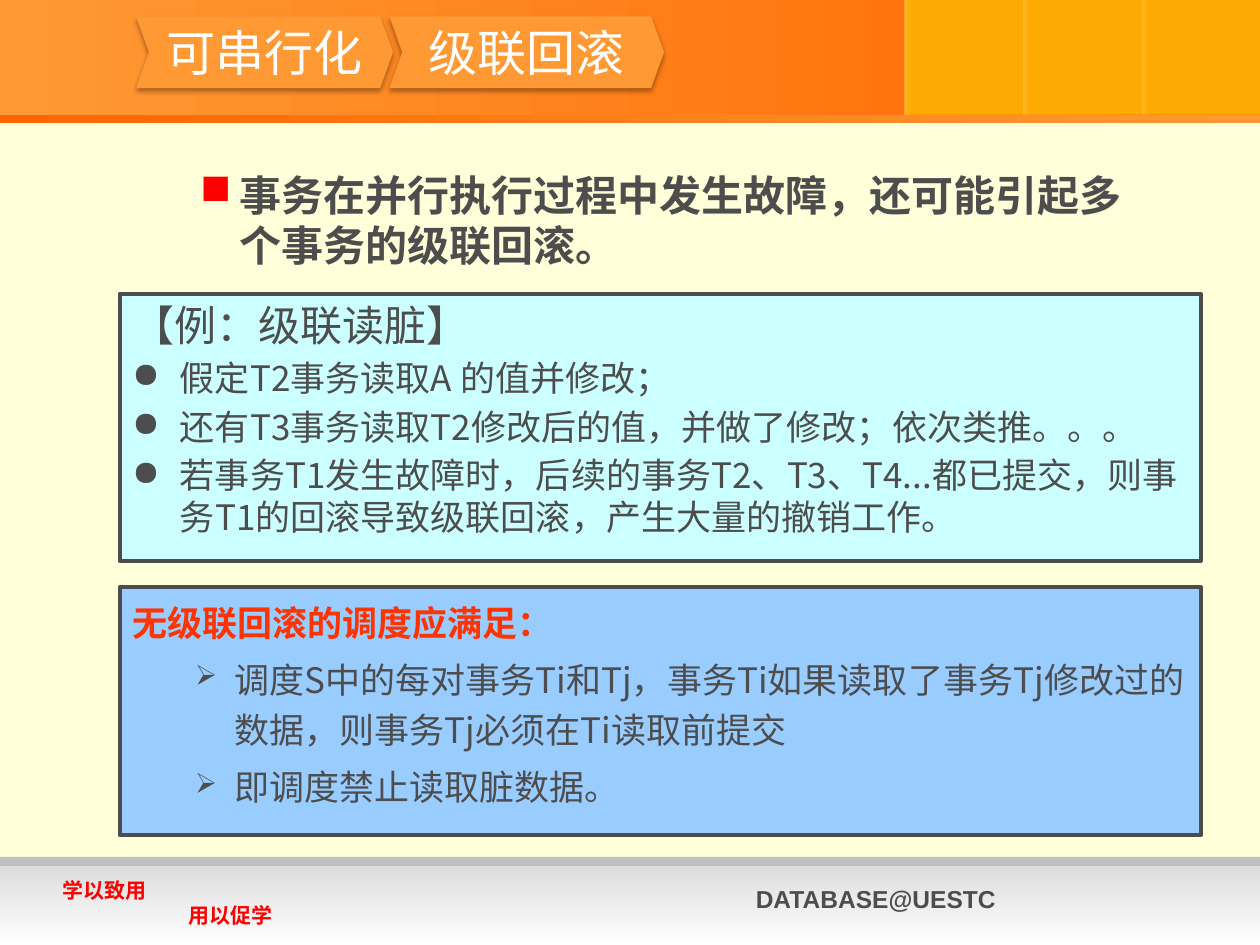
from lxml.etree import SubElement
from pptx import Presentation
from pptx.dml.color import RGBColor
from pptx.enum.shapes import MSO_SHAPE
from pptx.enum.text import MSO_ANCHOR, PP_ALIGN
from pptx.oxml.ns import qn
from pptx.util import Inches, Pt

INK = {
    "cream": "FFFFD9", "amber": "FDAA03", "orange": "FF9933", "deep": "FF6600",
    "grey": "C0C0C0", "mist": "DDDDDD", "white": "FFFFFF", "text": "4D4D4D",
    "red": "FF0000", "warm": "FF3300", "aqua": "CCFFFF", "blue": "99CCFF",
    "black": "000000",
}
SANS, LATIN = "Noto Sans CJK SC", "Arial"
PITCH = 1.19


def tint(name):
    """Return the named colour."""
    return RGBColor.from_string(INK[name])


def node(parent, tag, **attrs):
    """Append a drawing element with the given attributes."""
    return SubElement(parent, qn(tag), {key: str(val) for key, val in attrs.items()})


def block(slide, box, fill, kind=MSO_SHAPE.RECTANGLE):
    """Add a plain filled shape without a line or shadow."""
    shape = slide.shapes.add_shape(kind, *map(Inches, box))
    shape.shadow.inherit = False
    shape.fill.solid()
    shape.fill.fore_color.rgb = tint(fill)
    shape.line.fill.background()
    return shape


def fade(slide, box, ends, angle=0, alphas=()):
    """Add a rectangle with a two-colour gradient."""
    shape = block(slide, box, ends[0])
    shape.fill.gradient()
    shape.fill.gradient_angle = angle
    for stop, name, place in zip(shape.fill.gradient_stops, ends, (0, 1)):
        stop.color.rgb = tint(name)
        stop.position = place
    for clr, alpha in zip(shape.element.spPr.iter(qn("a:srgbClr")), alphas):
        node(clr, "a:alpha", val=alpha * 1000)
    return shape


def bullet(para, sign, ink=None, size=None):
    """Give a paragraph its bullet sign."""
    props = para._p.get_or_add_pPr()
    if ink:
        node(node(props, "a:buClr"), "a:srgbClr", val=INK[ink])
    if size:
        node(props, "a:buSzPct", val=size * 1000)
    node(props, "a:buChar", char=sign)


def write(shape, lines, anchor=MSO_ANCHOR.TOP):
    """Fill a shape with formatted paragraphs."""
    frame = shape.text_frame
    frame.word_wrap = True
    frame.vertical_anchor = anchor
    for pos, (text, look) in enumerate(lines):
        para = frame.paragraphs[0] if pos == 0 else frame.add_paragraph()
        size = look.get("size", 20)
        face = look.get("face", SANS)
        left, hang = look.get("indent", (0, 0))
        props = para._p.get_or_add_pPr()
        props.set("marL", str(Inches(left)))
        props.set("indent", str(Inches(hang)))
        if "sign" in look:
            bullet(para, *look["sign"])
        layout = {
            "alignment": look.get("align", PP_ALIGN.LEFT),
            "line_spacing": Pt(round(size * PITCH * look.get("lead", 1), 1)),
            "space_before": Pt(look.get("gap", 0) if pos else 0),
        }
        for key, val in layout.items():
            setattr(para, key, val)
        run = para.add_run()
        run.text = text
        style = {"size": Pt(size), "bold": look.get("bold", False), "name": face}
        for key, val in style.items():
            setattr(run.font, key, val)
        run.font.color.rgb = tint(look.get("ink", "text"))
        node(run._r.get_or_add_rPr(), "a:ea", typeface=face)


def label(slide, box, lines):
    """Add a text box."""
    write(slide.shapes.add_textbox(*map(Inches, box)), lines)


def panel(slide, box, fill, lines):
    """Add an outlined box of text."""
    shape = block(slide, box, fill)
    shape.line.color.rgb = tint("text")
    shape.line.width = Pt(2.25)
    write(shape, lines)


def step(slide, box, text):
    """Add one chevron of the title trail."""
    shape = block(slide, box, "orange", MSO_SHAPE.CHEVRON)
    shape.adjustments[0] = 0.18
    glow = node(shape.element.spPr.find(qn("a:effectLst")), "a:outerShdw",
                blurRad=Pt(3.1), dist=Pt(1.8), dir=5400000, rotWithShape=0)
    node(node(glow, "a:srgbClr", val=INK["black"]), "a:alpha", val=35000)
    frame = shape.text_frame
    for side in ("left", "right", "top", "bottom"):
        setattr(frame, f"margin_{side}", 0)
    look = {"size": 28, "ink": "white", "align": PP_ALIGN.CENTER}
    write(shape, [(text, look)], MSO_ANCHOR.MIDDLE)


def header(slide, box):
    """Draw the top band with its tiles and title trail."""
    left, top, width, height = box
    rule, tile = 0.07, 0.94
    deep = height - rule
    fade(slide, (left, top, width, deep), ("orange", "deep"))
    for num in (3, 2, 1):
        edge = left + width - num * tile
        block(slide, (edge, top, tile, deep), "amber")
        fade(slide, (edge, top, 0.05, deep), ("cream", "amber"), alphas=(18, 15))
    fade(slide, (left, top + deep, width, rule), ("deep", "orange"))
    for start, span, text in ((1.08, 2.04, "可串行化"), (3.09, 2.18, "级联回滚")):
        step(slide, (left + start, top + 0.13, span, 0.57), text)


def footer(slide, box):
    """Draw the bottom band with its motto and source."""
    left, top, width, height = box
    block(slide, (left, top, width, 0.29), "grey")
    fade(slide, (left, top + 0.07, width, height - 0.07), ("mist", "white"), 270)
    label(slide, (left + 5.9, top + 0.17, 3.45, 0.34),
          [("DATABASE@UESTC", {"size": 14, "bold": True, "face": LATIN})])
    motto = {"size": 12, "bold": True, "ink": "red", "face": LATIN}
    label(slide, (left + 0.4, top + 0.12, 2, 0.5),
          [("学以致用", motto), ("用以促学", motto | {"indent": (1, 0)})])


def content(slide, box):
    """Place the lead point, the example and the rule."""
    left, top, width, height = box
    deep = {"indent": (0.81, -0.31)}
    hang = {"indent": (0.38, -0.38), "gap": 4}
    lead = deep | {"size": 24, "bold": True, "sign": ("■", "red")}
    label(slide, (left + 0.04, top, 8.22, height),
          [("事务在并行执行过程中发生故障，还可能引起多个事务的级联回滚。", lead)])
    dot = hang | {"sign": ("●",)}
    panel(slide, (left, top + 1.03, width, 2.12), "aqua", [
        ("【例：级联读脏】", hang | {"size": 24}),
        ("假定T2事务读取A 的值并修改；", dot),
        ("还有T3事务读取T2修改后的值，并做了修改；依次类推。。。", dot),
        ("若事务T1发生故障时，后续的事务T2、T3、T4...都已提交，"
         "则事务T1的回滚导致级联回滚，产生大量的撤销工作。", dot),
    ])
    arrow = deep | {"gap": 4, "lead": 1.2, "sign": ("➢", None, 80)}
    panel(slide, (left, top + 3.36, width, 1.97), "blue", [
        ("无级联回滚的调度应满足：", hang | {"lead": 1.2, "bold": True, "ink": "warm"}),
        ("调度S中的每对事务Ti和Tj，事务Ti如果读取了事务Tj修改过的数据，"
         "则事务Tj必须在Ti读取前提交", arrow),
        ("即调度禁止读取脏数据。", arrow),
    ])


def main():
    """Build and save the slide."""
    deck = Presentation()
    deck.slide_width, deck.slide_height = Inches(10), Inches(7.5)
    slide = deck.slides.add_slide(deck.slide_layouts[6])
    slide.background.fill.solid()
    slide.background.fill.fore_color.rgb = tint("cream")
    header(slide, (0, 0, 10, 0.98))
    footer(slide, (0, 6.8, 10, 0.7))
    content(slide, (0.95, 1.3, 8.58, 5.12))
    deck.save("out.pptx")


if __name__ == "__main__":
    main()
